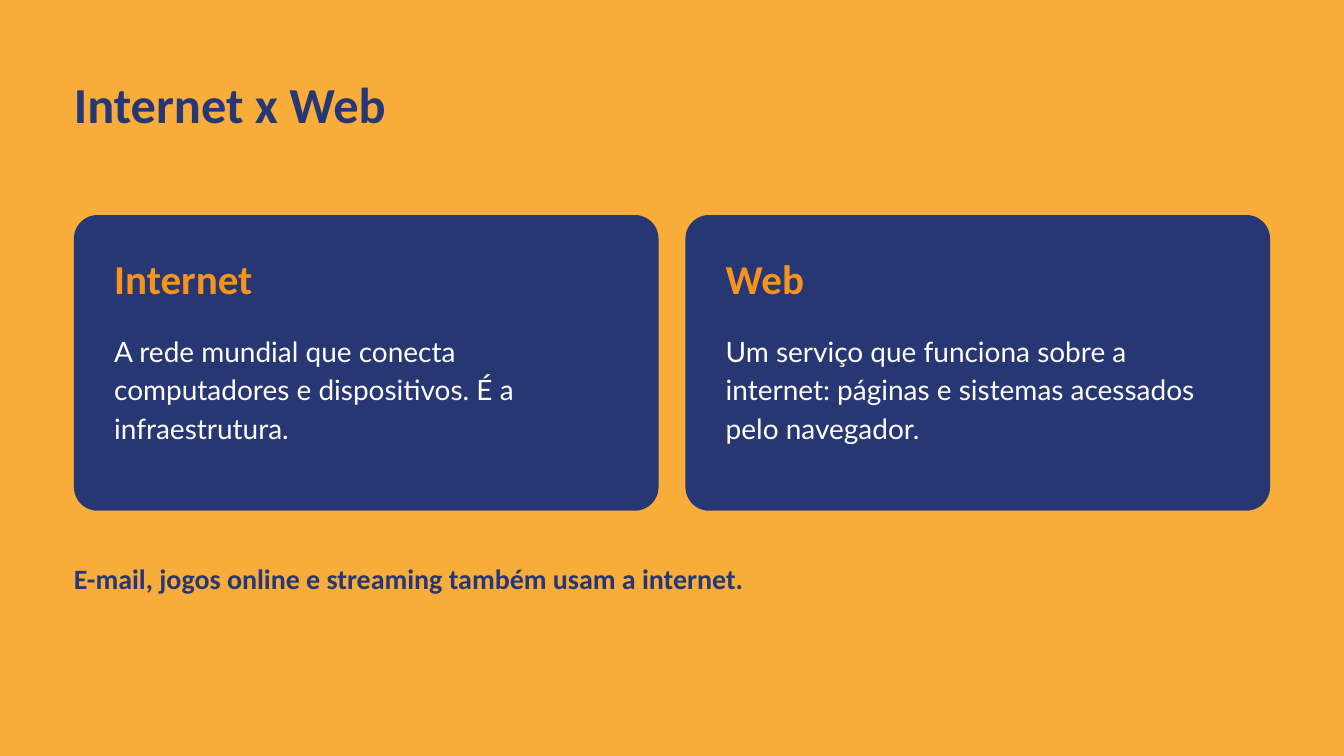
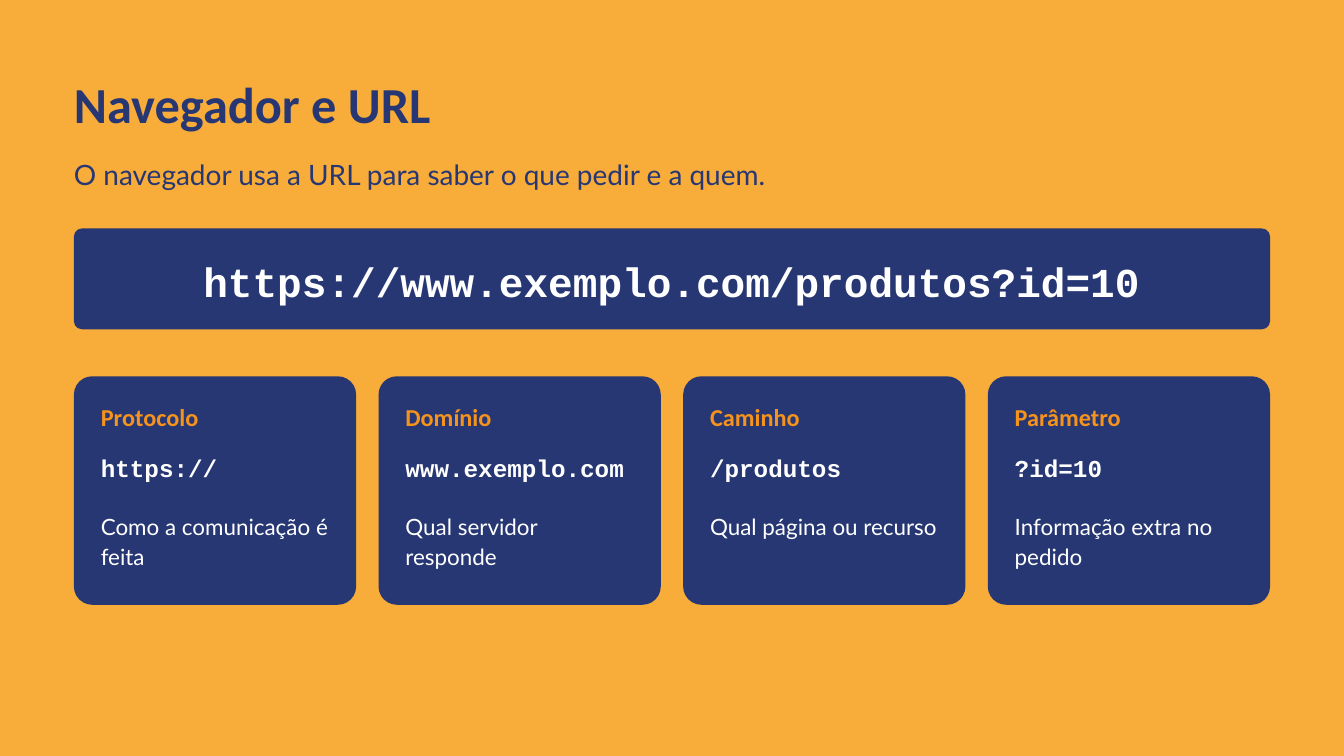
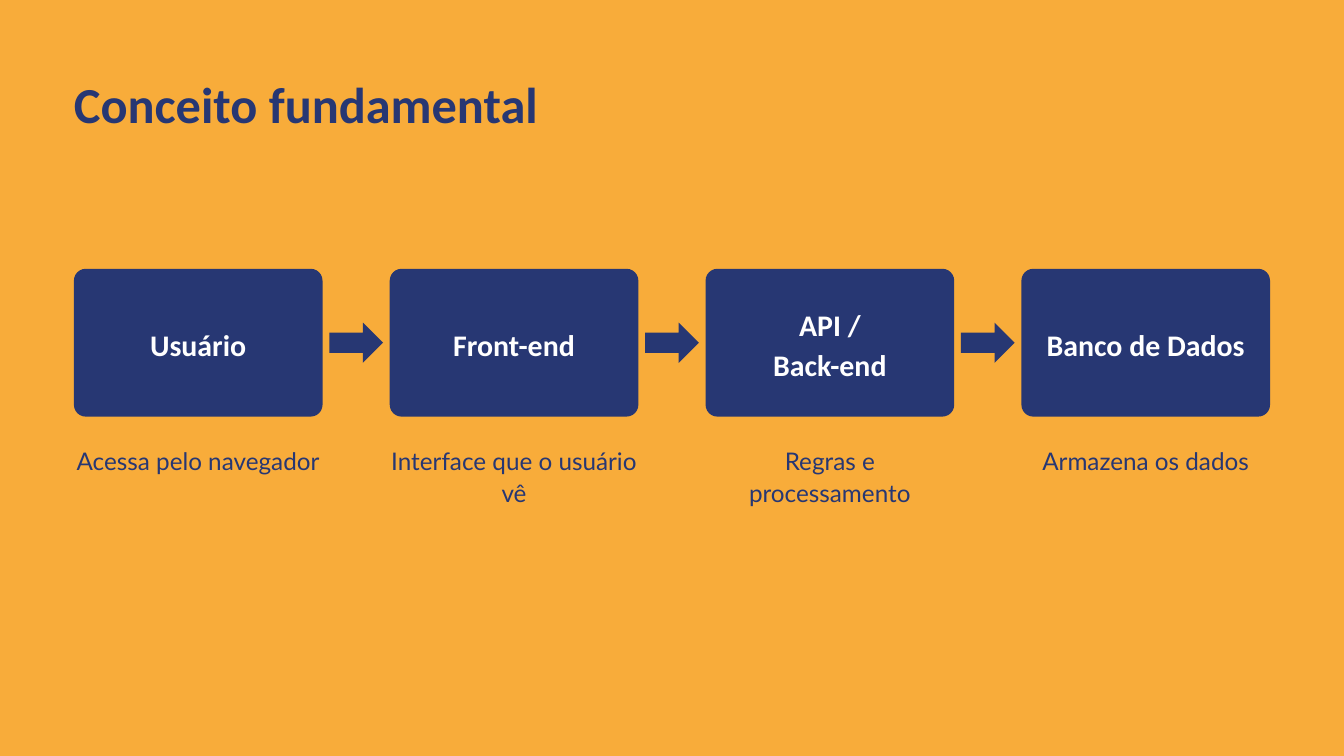
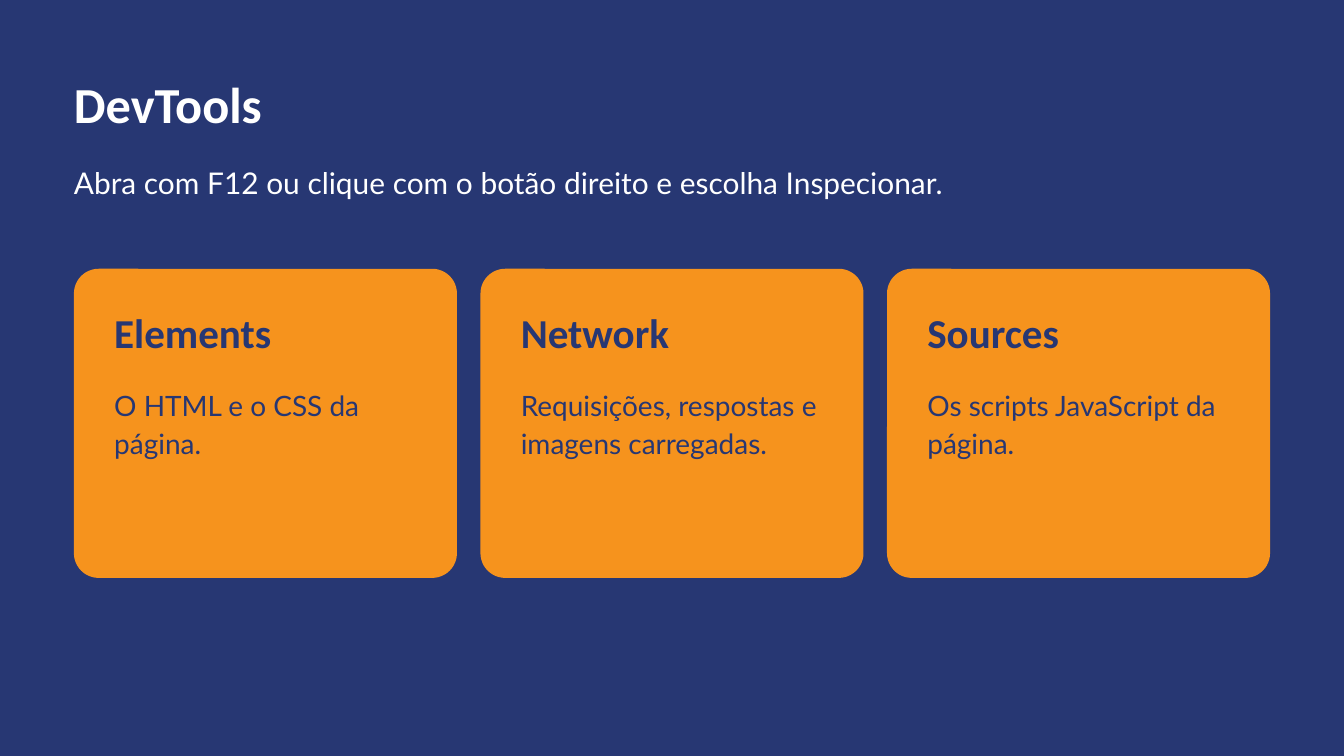
from dataclasses import dataclass
from typing import NamedTuple

from pptx import Presentation
from pptx.dml.color import RGBColor
from pptx.enum.shapes import MSO_SHAPE
from pptx.enum.text import MSO_ANCHOR, PP_ALIGN
from pptx.slide import Slide
from pptx.util import Inches, Pt

ROUND = MSO_SHAPE.ROUNDED_RECTANGLE
ARROW = MSO_SHAPE.RIGHT_ARROW
LEFT, CENTER = PP_ALIGN.LEFT, PP_ALIGN.CENTER
TOP, MIDDLE = MSO_ANCHOR.TOP, MSO_ANCHOR.MIDDLE


@dataclass(frozen=True)
class Theme:
    navy: str = "273773"
    amber: str = "F8AC3A"
    orange: str = "F6931D"
    white: str = "FFFFFF"
    head: str = "Calibri"
    body: str = "Lato"
    mono: str = "Courier New"
    title: int = 54
    large: int = 44
    medium: int = 32
    normal: int = 30
    small: int = 26
    tiny: int = 24
    margin: float = 1.1
    width: float = 17.8


THEME = Theme()


class Box(NamedTuple):
    x: float
    y: float
    w: float
    h: float


class Card(NamedTuple):
    title: str
    body: str


class Part(NamedTuple):
    name: str
    code: str
    note: str


class Step(NamedTuple):
    name: str
    note: str


def write(slide: Slide, text: str, box: Box, *, size: int, color: str = THEME.navy,
          font: str = THEME.body, bold: bool = False, align: PP_ALIGN = LEFT,
          anchor: MSO_ANCHOR = TOP, spacing: float = 1.1) -> None:
    frame = slide.shapes.add_textbox(*map(Inches, box)).text_frame
    frame.word_wrap = True
    frame.vertical_anchor = anchor
    frame.margin_left = frame.margin_right = frame.margin_top = frame.margin_bottom = 0
    frame.text = text
    for para in frame.paragraphs:
        para.alignment = align
        para.line_spacing = spacing
        for run in para.runs:
            run.font.name = font
            run.font.size = Pt(size)
            run.font.bold = bold
            run.font.color.rgb = RGBColor.from_string(color)


def panel(slide: Slide, box: Box, fill: str = THEME.navy, kind: MSO_SHAPE = ROUND) -> None:
    shape = slide.shapes.add_shape(kind, *map(Inches, box))
    if kind == ROUND:
        shape.adjustments[0] = 0.08
    shape.shadow.inherit = False
    shape.fill.solid()
    shape.fill.fore_color.rgb = RGBColor.from_string(fill)
    shape.line.fill.background()


def start(deck, title: str, back: str = THEME.amber, color: str = THEME.navy) -> Slide:
    slide = deck.slides.add_slide(deck.slide_layouts[6])
    slide.background.fill.solid()
    slide.background.fill.fore_color.rgb = RGBColor.from_string(back)
    write(slide, title, Box(THEME.margin, 1, 14.5, 1.1), size=THEME.title, color=color,
          font=THEME.head, bold=True)
    return slide


def spread(count: int, y: float, w: float, h: float) -> list[Box]:
    step = (THEME.width - w) / (count - 1)
    return [Box(THEME.margin + i * step, y, w, h) for i in range(count)]


def cards(slide: Slide, items: list[Card], y: float, w: float, h: float,
          fill: str, title: str, body: str) -> None:
    for card, box in zip(items, spread(len(items), y, w, h)):
        panel(slide, box, fill)
        x, wide = box.x + 0.6, w - 1.2
        write(slide, card.title, Box(x, y + 0.5, wide, 1), size=THEME.large, color=title,
              font=THEME.head, bold=True)
        write(slide, card.body, Box(x, y + 1.7, wide, h - 2.1), size=THEME.normal,
              color=body, spacing=1.15)


def compare(deck) -> None:
    slide = start(deck, "Internet x Web")
    items = [
        Card("Internet", "A rede mundial que conecta computadores e dispositivos. "
                         "É a infraestrutura."),
        Card("Web", "Um serviço que funciona sobre a internet: páginas e sistemas "
                    "acessados pelo navegador."),
    ]
    cards(slide, items, 3.2, 8.7, 4.4, THEME.navy, THEME.orange, THEME.white)
    write(slide, "E-mail, jogos online e streaming também usam a internet.",
          Box(THEME.margin, 8.3, THEME.width, 0.8), size=THEME.normal,
          font=THEME.head, bold=True)


def address(deck) -> None:
    slide = start(deck, "Navegador e URL")
    write(slide, "O navegador usa a URL para saber o que pedir e a quem.",
          Box(THEME.margin, 2.3, 15, 0.7), size=THEME.normal)
    band = Box(THEME.margin, 3.4, THEME.width, 1.5)
    panel(slide, band)
    write(slide, "https://www.exemplo.com/produtos?id=10", band, size=THEME.large,
          color=THEME.white, font=THEME.mono, bold=True, align=CENTER, anchor=MIDDLE)
    parts = [
        Part("Protocolo", "https://", "Como a comunicação é feita"),
        Part("Domínio", "www.exemplo.com", "Qual servidor responde"),
        Part("Caminho", "/produtos", "Qual página ou recurso"),
        Part("Parâmetro", "?id=10", "Informação extra no pedido"),
    ]
    for part, box in zip(parts, spread(len(parts), 5.6, 4.2, 3.4)):
        panel(slide, box)
        x, wide = box.x + 0.4, box.w - 0.8
        write(slide, part.name, Box(x, 5.95, wide, 0.5), size=THEME.small,
              color=THEME.orange, font=THEME.head, bold=True)
        write(slide, part.code, Box(x, 6.7, wide, 0.6), size=THEME.small,
              color=THEME.white, font=THEME.mono, bold=True)
        write(slide, part.note, Box(x, 7.6, wide, 1.2), size=THEME.tiny, color=THEME.white)


def concept(deck) -> None:
    slide = start(deck, "Conceito fundamental")
    steps = [
        Step("Usuário", "Acessa pelo navegador"),
        Step("Front-end", "Interface que o usuário vê"),
        Step("API /\nBack-end", "Regras e processamento"),
        Step("Banco de Dados", "Armazena os dados"),
    ]
    for i, (step, box) in enumerate(zip(steps, spread(len(steps), 4, 3.7, 2.2))):
        if i:
            panel(slide, Box(box.x - 0.9, 4.8, 0.8, 0.6), kind=ARROW)
        panel(slide, box)
        write(slide, step.name, Box(box.x + 0.2, box.y, box.w - 0.4, box.h),
              size=THEME.medium, color=THEME.white, font=THEME.head, bold=True,
              align=CENTER, anchor=MIDDLE)
        write(slide, step.note, Box(box.x, 6.6, box.w, 1.2), size=THEME.small, align=CENTER)


def tools(deck) -> None:
    slide = start(deck, "DevTools", THEME.navy, THEME.white)
    write(slide, "Abra com F12 ou clique com o botão direito e escolha Inspecionar.",
          Box(THEME.margin, 2.4, THEME.width, 0.8), size=THEME.medium, color=THEME.white)
    items = [
        Card("Elements", "O HTML e o CSS da página."),
        Card("Network", "Requisições, respostas e imagens carregadas."),
        Card("Sources", "Os scripts JavaScript da página."),
    ]
    cards(slide, items, 4, 5.7, 4.6, THEME.orange, THEME.navy, THEME.navy)


def main() -> None:
    deck = Presentation()
    deck.slide_width, deck.slide_height = Inches(20), Inches(11.25)
    for build in (compare, address, concept, tools):
        build(deck)
    deck.save("out.pptx")


if __name__ == "__main__":
    main()
